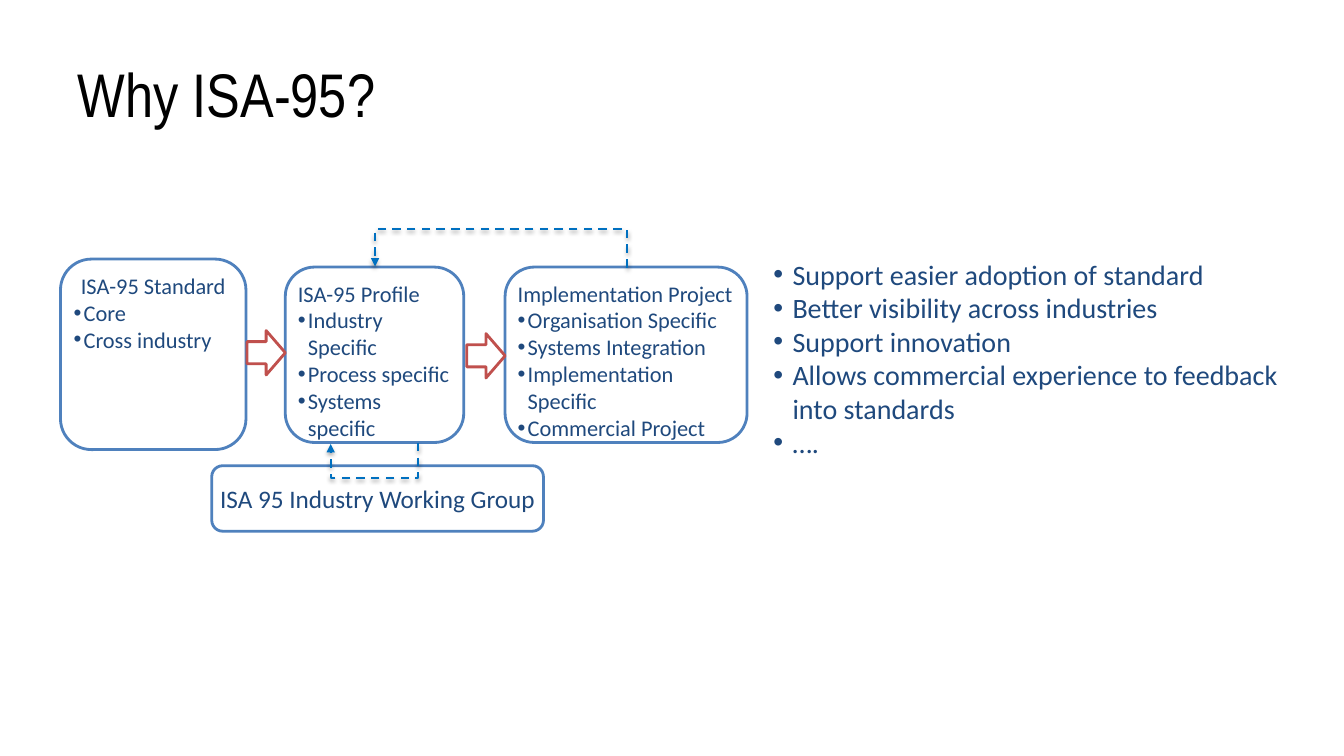
from dataclasses import dataclass

import pptx
import pptx.dml.color
import pptx.enum.dml
import pptx.enum.shapes
import pptx.enum.text
import pptx.oxml
import pptx.oxml.ns
import pptx.util
from pptx.util import Inches

RGBColor = pptx.dml.color.RGBColor
Align = pptx.enum.text.PP_ALIGN
Anchor = pptx.enum.text.MSO_ANCHOR
Preset = pptx.enum.shapes.MSO_SHAPE

BLACK = RGBColor(0x00, 0x00, 0x00)
WHITE = RGBColor(0xFF, 0xFF, 0xFF)
NAVY = RGBColor(0x1F, 0x49, 0x7D)
BOX_BLUE = RGBColor(0x4F, 0x81, 0xBD)
FEEDBACK_BLUE = RGBColor(0x00, 0x70, 0xC0)
ARROW_RED = RGBColor(0xC0, 0x50, 0x4D)
NAMESPACE = pptx.oxml.ns.nsdecls("a")
SHADOW = (
    f'<a:effectLst {NAMESPACE}><a:outerShdw blurRad="39370" dist="22860" dir="5400000" rotWithShape="0">'
    '<a:srgbClr val="000000"><a:alpha val="35000"/></a:srgbClr></a:outerShdw></a:effectLst>'
)
STEP = 0.01


@dataclass
class Box:
    left: float
    top: float
    width: float
    height: float
    heading: str
    bullets: tuple[str, ...] = ()
    alignment: Align = Align.LEFT
    anchor: Anchor = Anchor.TOP
    size: int = 16


@dataclass
class Feedback:
    start_x: float
    end_x: float
    edge_y: float
    depth: float
    upward: bool


BOXES = [
    Box(0.6, 2.57, 1.84, 1.89, "ISA-95 Standard", ("Core", "Cross industry"), Align.CENTER),
    Box(2.1, 4.62, 3.29, 0.65, "ISA 95 Industry Working Group",
        alignment=Align.CENTER, anchor=Anchor.MIDDLE, size=18),
    Box(2.83, 2.65, 1.77, 1.74, "ISA-95 Profile",
        ("Industry Specific", "Process specific", "Systems specific")),
    Box(5.01, 2.65, 2.4, 1.74, "Implementation Project",
        ("Organisation Specific", "Systems Integration",
         "Implementation Specific", "Commercial Project")),
]
FEEDBACKS = [
    Feedback(6.22, 3.72, 2.65, 0.39, True),
    Feedback(4.15, 3.28, 4.4, 0.35, False),
]
ARROWS = [(2.45, 3.28), (4.63, 3.31)]
BENEFITS = [
    "Support easier adoption of standard",
    "Better visibility across industries",
    "Support innovation",
    "Allows commercial experience to feedback into standards",
    "….",
]


def place(shape, left: float, top: float, width: float, height: float) -> None:
    shape.left, shape.top = Inches(left), Inches(top)
    shape.width, shape.height = Inches(width), Inches(height)


def add_run(paragraph, text: str, size: int, font_name: str = "Calibri",
            color: RGBColor = NAVY) -> None:
    run = paragraph.add_run()
    run.text = text
    run.font.size = pptx.util.Pt(size)
    run.font.name = font_name
    run.font.color.rgb = color


def add_bullet(paragraph, text: str, size: int, indent: float) -> None:
    paragraph.alignment = Align.LEFT
    paragraph.space_before = pptx.util.Pt(0)
    properties = paragraph._p.get_or_add_pPr()
    properties.set("marL", str(Inches(indent)))
    properties.set("indent", str(-Inches(indent)))
    properties.append(pptx.oxml.parse_xml(f'<a:buFont {NAMESPACE} typeface="Arial"/>'))
    properties.append(pptx.oxml.parse_xml(f'<a:buChar {NAMESPACE} char="•"/>'))
    add_run(paragraph, text, size)


def add_box(slide, box: Box) -> None:
    shape = slide.shapes.add_shape(
        Preset.ROUNDED_RECTANGLE, *map(Inches, (box.left, box.top, box.width, box.height)))
    shape.shadow.inherit = False
    shape.fill.background()
    shape.line.color.rgb = BOX_BLUE
    shape.line.width = pptx.util.Pt(2)
    frame = shape.text_frame
    frame.word_wrap = True
    frame.vertical_anchor = box.anchor
    frame.margin_left = frame.margin_right = Inches(0.04)
    frame.margin_top = frame.margin_bottom = Inches(0.04)
    heading = frame.paragraphs[0]
    heading.alignment = box.alignment
    add_run(heading, box.heading, box.size)
    for text in box.bullets:
        add_bullet(frame.add_paragraph(), text, box.size, 0.1)


def add_feedback(slide, feedback: Feedback) -> None:
    span = feedback.start_x - feedback.end_x
    middle = (feedback.start_x + feedback.end_x) / 2
    direction = -1 if feedback.upward else 1
    connector = slide.shapes.add_connector(
        pptx.enum.shapes.MSO_CONNECTOR.ELBOW,
        Inches(middle - STEP / 2), Inches(feedback.edge_y - direction * span / 2),
        Inches(middle + STEP / 2), Inches(feedback.edge_y + direction * span / 2))
    connector.line.color.rgb = FEEDBACK_BLUE
    connector.line.width = pptx.util.Pt(1.5)
    connector.line.dash_style = pptx.enum.dml.MSO_LINE.DASH
    properties = connector._element.spPr
    properties.xfrm.set("rot", str((270 if feedback.upward else 90) * 60000))
    bend = round(feedback.depth / STEP * 100000)
    guides = properties.find(".//" + pptx.oxml.ns.qn("a:avLst"))
    guides.append(pptx.oxml.parse_xml(f'<a:gd {NAMESPACE} name="adj1" fmla="val {bend}"/>'))
    properties.find(pptx.oxml.ns.qn("a:ln")).append(
        pptx.oxml.parse_xml(f'<a:tailEnd {NAMESPACE} type="triangle"/>'))
    properties.append(pptx.oxml.parse_xml(SHADOW))


def add_arrow(slide, left: float, top: float) -> None:
    arrow = slide.shapes.add_shape(
        Preset.RIGHT_ARROW, Inches(left), Inches(top), Inches(0.38), Inches(0.44))
    arrow.shadow.inherit = False
    arrow.fill.solid()
    arrow.fill.fore_color.rgb = WHITE
    arrow.line.color.rgb = ARROW_RED
    arrow.line.width = pptx.util.Pt(2)


def fill_placeholders(slide) -> None:
    title = slide.shapes.title
    place(title, 0.67, 0.3, 12, 1.25)
    title.text_frame.vertical_anchor = Anchor.MIDDLE
    heading = title.text_frame.paragraphs[0]
    heading.alignment = Align.LEFT
    add_run(heading, "Why ISA-95?", 44, "Arial Narrow", BLACK)

    body = slide.placeholders[1]
    place(body, 7.57, 2.5, 5.47, 2.12)
    frame = body.text_frame
    frame.auto_size = pptx.enum.text.MSO_AUTO_SIZE.NONE
    for index, text in enumerate(BENEFITS):
        paragraph = frame.add_paragraph() if index else frame.paragraphs[0]
        add_bullet(paragraph, text, 20, 0.19)


def main() -> None:
    presentation = pptx.Presentation()
    presentation.slide_width = Inches(13.33)
    presentation.slide_height = Inches(7.5)
    slide = presentation.slides.add_slide(presentation.slide_layouts[1])
    fill_placeholders(slide)
    for box in BOXES:
        add_box(slide, box)
    for feedback in FEEDBACKS:
        add_feedback(slide, feedback)
    for left, top in ARROWS:
        add_arrow(slide, left, top)
    presentation.save("out.pptx")


if __name__ == "__main__":
    main()
